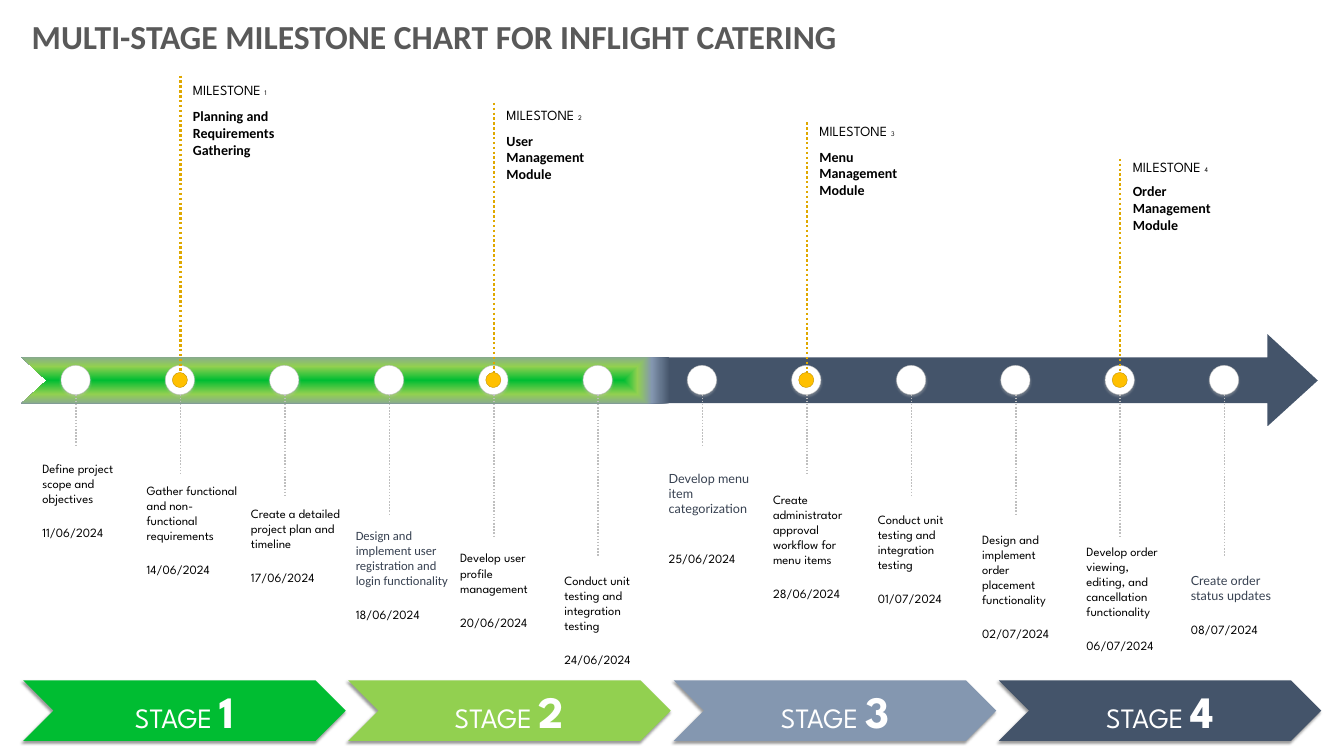
"""Build a four-stage milestone timeline slide for an inflight catering project."""
from dataclasses import dataclass

from lxml import etree
from pptx import Presentation
from pptx.dml.color import RGBColor
from pptx.enum.dml import MSO_LINE
from pptx.enum.shapes import MSO_CONNECTOR, MSO_SHAPE
from pptx.enum.text import MSO_ANCHOR, MSO_AUTO_SIZE, PP_ALIGN
from pptx.oxml import parse_xml
from pptx.oxml.ns import qn
from pptx.util import Emu, Pt

PX = 9144
NS = "http://schemas.openxmlformats.org/drawingml/2006/main"
CHEVRON, OVAL = MSO_SHAPE.CHEVRON, MSO_SHAPE.OVAL
STRAIGHT, DOTTED = MSO_CONNECTOR.STRAIGHT, MSO_LINE.ROUND_DOT
TOP, MIDDLE = MSO_ANCHOR.TOP, MSO_ANCHOR.MIDDLE
LEFT, CENTER = PP_ALIGN.LEFT, PP_ALIGN.CENTER
FIT = MSO_AUTO_SIZE.SHAPE_TO_FIT_TEXT


@dataclass(frozen=True)
class Theme:
    """Colours, fonts and type sizes of the slide."""
    display: str = "League Spartan"
    body: str = "Calibri"
    accent: str = "Lato"
    ink: str = "000000"
    slate: str = "374151"
    heading: str = "595959"
    white: str = "FFFFFF"
    grey: str = "BFBFBF"
    dot: str = "FFC000"
    dot_edge: str = "BF9000"
    guide: str = "DFA800"
    stages: tuple = ("00BD32", "92D050", "8497B0", "44546A")
    stops: tuple = (0, 30, 61, 100)
    title_size: int = 48
    stage_size: int = 40
    stage_number_size: int = 64
    milestone_size: int = 20
    milestone_gap_size: int = 22
    milestone_number_size: int = 10
    task_size: int = 18


T = Theme()
NODE_X, NODE_Y, NODE_STEP = 150, 754, 207.2
STEM_ENDS = (884, 944, 984, 1024, 1064, 1104)
TASKS = (
    (914, 192, "Define project scope and objectives", "11/06/2024", T.display, T.ink, 27),
    (958, 192, "Gather functional and non-functional requirements", "14/06/2024", T.display, T.ink, 27),
    (1003, 179, "Create a detailed project plan and timeline", "17/06/2024", T.display, T.ink, 27),
    (1047, 193, "Design and implement user registration and login functionality", "18/06/2024",
     T.body, T.slate, 27),
    (1092, 180, "Develop user profile management", "20/06/2024", T.display, T.ink, 27),
    (1136, 179, "Conduct unit testing and integration testing", "24/06/2024", T.display, T.ink, 27),
    (934, 160, "Develop menu item categorization", "25/06/2024", T.accent, T.slate, 49),
    (975, 160, "Create administrator approval workflow for menu items", "28/06/2024", T.display, T.ink, 27),
    (1015, 160, "Conduct unit testing and integration testing", "01/07/2024", T.display, T.ink, 27),
    (1055, 160, "Design and implement order placement functionality", "02/07/2024", T.display, T.ink, 27),
    (1079, 160, "Develop order viewing, editing, and cancellation functionality", "06/07/2024",
     T.display, T.ink, 27),
    (1136, 160, "Create order status updates", "08/07/2024", T.accent, T.slate, 27),
)
MILESTONES = (
    (1, 150, 148, 204, 263, "Planning and Requirements Gathering"),
    (4, 204, 199, 252, 215, "User Management Module"),
    (7, 243, 231, 284, 215, "Menu Management Module"),
    (10, 315, 301, 353, 215, "Order Management Module"),
)


def px(*lengths):
    """Turn px lengths into EMU."""
    return [Emu(n * PX) for n in lengths]


def rgb(color):
    """Turn a hex string into a colour."""
    return RGBColor.from_string(color)


def node_x(i):
    """Give the centre of a timeline node."""
    return round(NODE_X + NODE_STEP * i)


def run(text, size, name, color, bold=False):
    """Describe one run of text."""
    return text, {"size": Pt(size), "name": name, "bold": bold}, color


def add_text(parent, box, paragraphs, inset=(0, 0), anchor=TOP, align=LEFT, gap=0):
    """Add a wrapped text box, with a gap before each later paragraph."""
    tf = parent.shapes.add_textbox(*px(*box)).text_frame
    side, end = px(*inset)
    layout = {"word_wrap": True, "auto_size": FIT, "vertical_anchor": anchor,
              "margin_left": side, "margin_right": side, "margin_top": end, "margin_bottom": end}
    for key, value in layout.items():
        setattr(tf, key, value)
    for i, runs in enumerate(paragraphs):
        p = tf.add_paragraph() if i else tf.paragraphs[0]
        p.alignment = align
        p.space_before = Pt(gap if i else 0)
        for text, fmt, color in runs:
            r = p.add_run()
            r.text = text
            for key, value in fmt.items():
                setattr(r.font, key, value)
            r.font.color.rgb = rgb(color)


def add_shape(parent, kind, box, fill, edge=None, shadow=None):
    """Add a filled preset shape with an optional edge and shadow."""
    sp = parent.shapes.add_shape(kind, *px(*box))
    sp.fill.solid()
    sp.fill.fore_color.rgb = rgb(fill)
    if edge:
        sp.line.color.rgb = rgb(edge)
        sp.line.width = Pt(0.5)
    else:
        sp.line.fill.background()
    sp.shadow.inherit = False
    if shadow:
        color, alpha, blur, dist, angle = shadow
        sp._element.spPr.find(qn("a:effectLst")).append(parse_xml(
            f'<a:outerShdw xmlns:a="{NS}" blurRad="{Pt(blur)}" dist="{Pt(dist)}" '
            f'dir="{angle * 60000}" algn="ctr" rotWithShape="0"><a:srgbClr val="{color}">'
            f'<a:alpha val="{alpha * 1000}"/></a:srgbClr></a:outerShdw>'))


def add_dotted_line(parent, x, top, bottom, color, width):
    """Add a vertical dotted line."""
    line = parent.shapes.add_connector(STRAIGHT, *px(x, top, x, bottom))
    line.line.color.rgb = rgb(color)
    line.line.width = Pt(width)
    line.line.dash_style = DOTTED
    etree.SubElement(line._element.spPr, qn("a:effectLst"))


def add_arrow(s):
    """Add the notched arrow with its gradient spreading from the tail."""
    fb = s.shapes.build_freeform(43, 709, scale=float(PX))
    fb.add_line_segments(((2515, 709), (2515, 663), (2615, 755), (2515, 846),
                          (2515, 800), (43, 800), (93, 755)), close=True)
    sp = fb.convert_to_shape()
    sp.line.fill.background()
    sp.shadow.inherit = False
    sp.fill.background()
    spPr = sp._element.spPr
    stops = "".join(f'<a:gs pos="{at * 1000}"><a:srgbClr val="{color}"/></a:gs>'
                    for at, color in zip(T.stops, T.stages))
    spPr.replace(spPr.find(qn("a:noFill")), parse_xml(
        f'<a:gradFill xmlns:a="{NS}" rotWithShape="1"><a:gsLst>{stops}</a:gsLst><a:path path="rect">'
        '<a:fillToRect l="0" t="50000" r="100000" b="50000"/></a:path></a:gradFill>'))


def add_stage(s, i, color):
    """Add one stage chevron with its label."""
    group = s.shapes.add_group_shape()
    x = round(46 + 645.4 * i)
    add_shape(group, CHEVRON, (x, 1350, 640, 120), color, shadow=(T.ink, 40, 4, 3, 135))
    label = [run("STAGE ", T.stage_size, T.display, T.white),
             run(str(i + 1), T.stage_number_size, T.display, T.white, True)]
    add_text(group, (x + 70, 1346, 500, 128), [label], (10, 10), MIDDLE, CENTER)


def add_task(s, i, top, width, text, date, font, color, gap):
    """Add the description and date under a node."""
    add_text(s, (node_x(i) - 66, top, width, 158),
             [[run(text, T.task_size, font, color)],
              [run(date, T.task_size, T.display, T.ink)]], gap=gap)


def add_milestone(s, number, node, line_top, label_top, name_top, name_width, name):
    """Add a milestone marker with its guide line and texts."""
    group = s.shapes.add_group_shape()
    x = node_x(node)
    add_dotted_line(group, x + 1, line_top, 753, T.guide, 3.5)
    add_shape(group, OVAL, (x - 15, 739, 30, 30), T.dot, T.dot_edge)
    label = [run("MILESTONE", T.milestone_size, T.display, T.ink),
             run(" ", T.milestone_gap_size, T.display, T.ink),
             run(str(number), T.milestone_number_size, T.display, T.ink)]
    add_text(group, (x + 16, label_top, 215, 57), [label], (10, 10))
    add_text(group, (x + 16, name_top, name_width, 121),
             [[run(name, T.milestone_size, T.body, T.ink, True)]], (10, 10))


def main():
    """Build and save the slide."""
    prs = Presentation()
    prs.slide_width, prs.slide_height = px(2667, 1500)
    s = prs.slides.add_slide(prs.slide_layouts[6])
    add_text(s, (53, 27, 1933, 91), [[run("MULTI-STAGE MILESTONE CHART FOR INFLIGHT CATERING",
                                          T.title_size, T.body, T.heading, True)]], (10, 5))
    for i, color in enumerate(T.stages):
        add_stage(s, i, color)
    add_arrow(s)
    for i in range(len(TASKS)):
        add_dotted_line(s, node_x(i) + 1, 764, STEM_ENDS[i % len(STEM_ENDS)], T.grey, 2.25)
    for i in range(len(TASKS)):
        add_shape(s, OVAL, (node_x(i) - 29, NODE_Y - 29, 58, 58), T.white, T.grey,
                  (T.grey, 35, 3, 1.8, 90))
    for i, task in enumerate(TASKS):
        add_task(s, i, *task)
    for number, milestone in enumerate(MILESTONES, 1):
        add_milestone(s, number, *milestone)
    prs.save("out.pptx")


if __name__ == "__main__":
    main()
